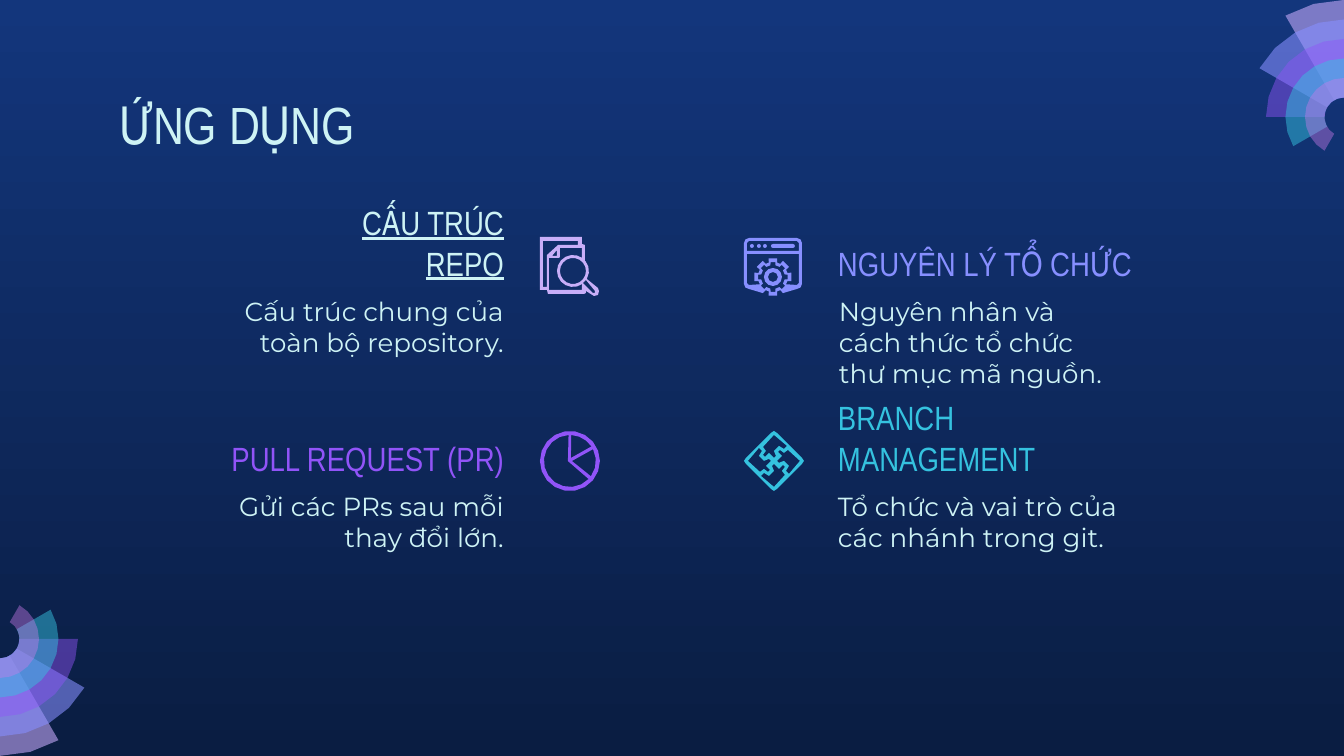
import math
from dataclasses import dataclass

import lxml.etree
import pptx
import pptx.dml.color
import pptx.enum.text
import pptx.oxml.ns
import pptx.util

EMU_PER_PX = 914400 / 134.4
Point = tuple[float, float]
Contour = list[Point]


@dataclass(frozen=True)
class Theme:
    night_top: str = "13367C"
    night_bottom: str = "0A1D42"
    text: str = "CEF3F5"
    lilac: str = "C8ACFD"
    pale_lilac: str = "C8AEF8"
    periwinkle: str = "878FFF"
    violet: str = "9154F8"
    cyan: str = "35C2DF"
    orchid: str = "CA7BEB"
    heading_font: str = "Arial Narrow"
    body_font: str = "Montserrat"
    title_size: int = 28
    heading_size: int = 18
    body_size: int = 14


THEME = Theme()


@dataclass(frozen=True)
class Box:
    left: int
    top: int
    width: int
    height: int


@dataclass(frozen=True)
class Topic:
    heading: str
    body: str
    color: str
    heading_box: Box
    body_box: Box
    icon_at: Point
    icon: list[Contour]
    icon_color: str
    right_aligned: bool = False
    underlined: bool = False


@dataclass(frozen=True)
class FanBlade:
    rings: int
    sweep: int
    color: str
    opacity: int


def emu(px: float) -> int:
    return round(px * EMU_PER_PX)


def rgb(color: str) -> pptx.dml.color.RGBColor:
    return pptx.dml.color.RGBColor.from_string(color)


def arc(cx: float, cy: float, radius: float, start: float, end: float) -> Contour:
    """Points along an arc; degrees run counter-clockwise from the right."""
    step = 45 if radius < 6 else 30 if radius < 12 else 20 if radius < 35 else 15
    steps = max(2, round(abs(end - start) / step))
    angles = [math.radians(start + (end - start) * i / steps) for i in range(steps + 1)]
    return [(cx + radius * math.cos(a), cy - radius * math.sin(a)) for a in angles]


def gear(cx: int, cy: int, tip: int, valley: int, half_tooth: int, start: int) -> Contour:
    """Eight-toothed outline, counter-clockwise from the start angle."""
    outline = []
    for tooth in range(start, start + 360, 45):
        for offset, radius in ((-half_tooth - 3, valley), (-half_tooth, tip),
                               (half_tooth, tip), (half_tooth + 3, valley)):
            angle = math.radians(tooth + offset)
            outline.append((cx + radius * math.cos(angle), cy - radius * math.sin(angle)))
    return outline


def quarter_turns(points: Contour) -> list[Contour]:
    turns = [points]
    for _ in range(3):
        turns.append([(y, -x) for x, y in turns[-1]])
    return turns


def document_icon() -> list[Contour]:
    silhouette = [(0, 0), (42, 0), (42, 7), (45, 8), (45, 24),
                  *arc(33, 34, 16, 38, -30), (58, 51), (59, 54), (58, 58), (54, 59),
                  (46, 54), (46, 56), (44, 57), (8, 57), (7, 53), (0, 53)]
    back_page = [(38, 4), (38, 8), (18, 8), (7, 18), (7, 50), (3, 50), (3, 4)]
    front_page = [(42, 11), (42, 21), *arc(33, 34, 16, 55, 305), (42, 49), (42, 53),
                  (9, 53), (9, 21), (19, 21), (20, 20), (20, 11)]
    fold = [(17, 13), (17, 19), (12, 19)]
    handle = [(46, 43), (55, 54), (55, 56), (53, 56), (43, 46)]
    return [silhouette, back_page, front_page, fold, handle, arc(33, 34, 13, 0, 360)]


def browser_icon() -> list[Contour]:
    bump = [p for p in gear(29, 39, 19, 15, 13, 90) if p[1] > 51]
    cutout = [p for p in gear(29, 39, 19, 15, 13, -90) if p[1] < 47]
    window = [*arc(5, 5, 5, 90, 180), *arc(5, 46, 5, 180, 270), *bump,
              *arc(53, 46, 5, 270, 360), *arc(53, 5, 5, 0, 90)]
    title_bar = [(3, 13), (3, 5), (5, 3), (53, 3), (55, 5), (55, 13)]
    page = [(3, 16), (55, 16), (55, 45), (53, 47), *cutout, (5, 47), (3, 45)]
    address = [*arc(29, 8, 2, 90, 270), *arc(49, 8, 2, -90, 90)]
    dots = [arc(x, 8, 2, 0, 360) for x in (8, 15, 21)]
    return [window, title_bar, page, address, *dots, gear(29, 39, 15, 12, 9, 0),
            arc(29, 39, 9, 0, 360), arc(29, 39, 5, 0, 360)]


def pie_icon() -> list[Contour]:
    return [arc(30, 30, 30, 0, 360),
            [(31, 27), *arc(30, 30, 26, 87, 34)],
            [(32, 30), *arc(30, 30, 26, 27, -36)],
            [(28, 30), (29, 31), *arc(30, 30, 26, -44, -267)]]


def puzzle_icon() -> list[Contour]:
    corner = [(3, -28), (0, -30), (-3, -28)]
    piece = [(0, -26), (13, -15), (10, -12), (5, -15), (0, -10), (2, -5), (0, -3),
             (-5, -8), (-9, -4), (-11, -6), (-8, -10), (-11, -14)]
    diamond = [p for turn in quarter_turns(corner) for p in turn]
    return [[(x + 30, y + 30) for x, y in contour]
            for contour in (diamond, *quarter_turns(piece))]


def draw_contours(slide, contours: list[Contour], at: Point, color: str, opacity: int = 100) -> None:
    """Fill the contours as one outline; inner contours become holes."""
    placed = [[(emu(at[0] + x), emu(at[1] + y)) for x, y in c] for c in contours]
    builder = slide.shapes.build_freeform(*placed[0][0], scale=1.0)
    builder.add_line_segments(placed[0][1:], close=True)
    for hole in placed[1:]:
        builder.move_to(*hole[0])
        builder.add_line_segments(hole[1:], close=True)
    shape = builder.convert_to_shape()
    shape.shadow.inherit = False
    shape.line.fill.background()
    shape.fill.solid()
    shape.fill.fore_color.rgb = rgb(color)
    if opacity < 100:
        srgb = next(shape.element.spPr.iter(pptx.oxml.ns.qn("a:srgbClr")))
        lxml.etree.SubElement(srgb, pptx.oxml.ns.qn("a:alpha"), val=str(opacity * 1000))


def draw_fan(slide, center: Point, start: int) -> None:
    ring = 19.5
    for blade in FAN:
        end = start + blade.sweep
        outline = arc(0, 0, blade.rings * ring, start, end) + arc(0, 0, ring, end, start)
        draw_contours(slide, [outline], center, blade.color, blade.opacity)


def write_text(shape, box: Box, text: str, font: str, size: int, color: str,
               right_aligned: bool = False, bottom: bool = False,
               underlined: bool = False) -> None:
    shape.left, shape.top = emu(box.left), emu(box.top)
    shape.width, shape.height = emu(box.width), emu(box.height)
    frame = shape.text_frame
    frame.text = text
    frame.word_wrap = True
    frame.auto_size = pptx.enum.text.MSO_AUTO_SIZE.NONE
    anchor = pptx.enum.text.MSO_ANCHOR
    frame.vertical_anchor = anchor.BOTTOM if bottom else anchor.TOP
    frame.margin_left = frame.margin_right = frame.margin_top = frame.margin_bottom = emu(13)
    paragraph = frame.paragraphs[0]
    align = pptx.enum.text.PP_ALIGN
    paragraph.alignment = align.RIGHT if right_aligned else align.LEFT
    paragraph.font.name = font
    paragraph.font.size = pptx.util.Pt(size)
    paragraph.font.color.rgb = rgb(color)
    if underlined:
        paragraph.font.underline = True


def draw_topic(slide, topic: Topic) -> None:
    write_text(slide.shapes.add_textbox(0, 0, 0, 0), topic.heading_box, topic.heading,
               THEME.heading_font, THEME.heading_size, topic.color,
               topic.right_aligned, bottom=True, underlined=topic.underlined)
    write_text(slide.shapes.add_textbox(0, 0, 0, 0), topic.body_box, topic.body,
               THEME.body_font, THEME.body_size, THEME.text, topic.right_aligned)
    draw_contours(slide, topic.icon, topic.icon_at, topic.icon_color)


FAN = [FanBlade(6, 30, THEME.lilac, 58), FanBlade(5, 60, THEME.periwinkle, 58),
       FanBlade(4, 90, THEME.violet, 46), FanBlade(3, 120, THEME.cyan, 49),
       FanBlade(2, 150, THEME.orchid, 42)]

TOPICS = [
    Topic("CẤU TRÚC REPO", "Cấu trúc chung của toàn bộ repository.", THEME.text,
          Box(270, 238, 247, 58), Box(208, 282, 309, 120), (540, 237), document_icon(),
          THEME.pale_lilac, right_aligned=True, underlined=True),
    Topic("NGUYÊN LÝ TỔ CHỨC", "Nguyên nhân và cách thức tổ chức thư mục mã nguồn.",
          THEME.periwinkle, Box(825, 238, 323, 58), Box(826, 282, 309, 120), (744, 238),
          browser_icon(), THEME.periwinkle),
    Topic("PULL REQUEST (PR)", "Gửi các PRs sau mỗi thay đổi lớn.", THEME.violet,
          Box(122, 433, 395, 58), Box(208, 477, 309, 120), (540, 431), pie_icon(),
          THEME.violet, right_aligned=True),
    Topic("BRANCH MANAGEMENT", "Tổ chức và vai trò của các nhánh trong git.", THEME.cyan,
          Box(825, 433, 323, 58), Box(825, 477, 309, 120), (744, 431), puzzle_icon(),
          THEME.cyan),
]


def main() -> None:
    deck = pptx.Presentation()
    deck.slide_width, deck.slide_height = emu(1344), emu(756)
    slide = deck.slides.add_slide(deck.slide_layouts[5])
    night = slide.background.fill
    night.gradient()
    night.gradient_angle = 270
    for stop, color in zip(night.gradient_stops, (THEME.night_top, THEME.night_bottom)):
        stop.color.rgb = rgb(color)
    draw_fan(slide, (1344, 117), 90)
    draw_fan(slide, (0, 639), 270)
    write_text(slide.shapes.title, Box(106, 79, 1133, 85), "ỨNG DỤNG",
               THEME.heading_font, THEME.title_size, THEME.text)
    for topic in TOPICS:
        draw_topic(slide, topic)
    deck.save("out.pptx")


if __name__ == "__main__":
    main()
